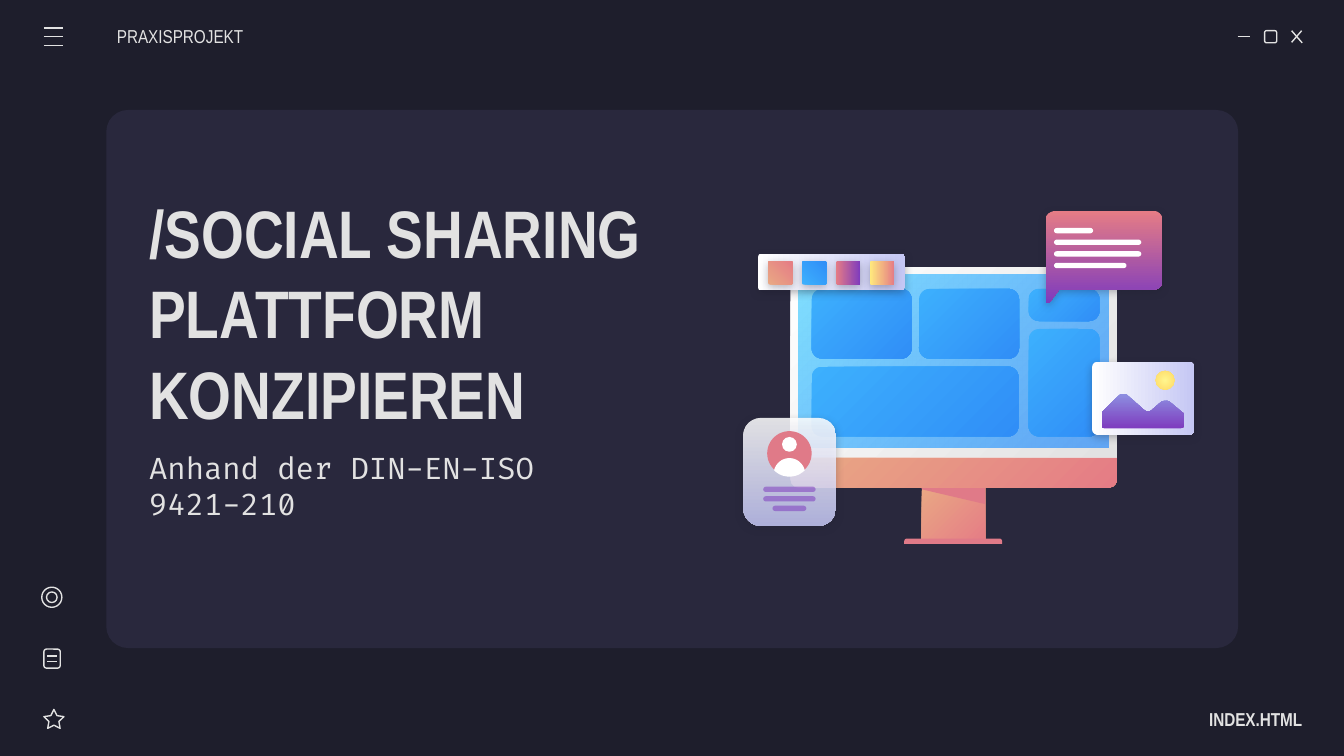
import lxml.etree
import pptx
import pptx.dml.color
import pptx.enum.shapes
import pptx.enum.text
import pptx.oxml.ns
import pptx.util

Cm, Pt = pptx.util.Cm, pptx.util.Pt
qn = pptx.oxml.ns.qn
Kind = pptx.enum.shapes.MSO_SHAPE
Align = pptx.enum.text.PP_ALIGN

# Colours; a gradient is (start, end, clockwise angle), angle None means radial
DARK, PANEL, LIGHT, WHITE = "1E1E2C", "29283D", "E2E2E2", "FFFFFF"
ROSE, VIOLET, CORAL, LAVENDER = "E07A88", "7E3BBE", "E57C85", "C5C7F4"
PEACH = ("E9A984", CORAL, 45)
BLUE = ("3DB0FD", "308EF7", 45)

# All positions below are in centimetres: left, top, width, height
TEXTS = [
    # words, place, size, font, bold, alignment, left inset, right inset
    ("/SOCIAL SHARING PLATTFORM KONZIPIEREN", (2.57, 3.66, 11.35, 4.47),
     36, "Arial Narrow", True, Align.LEFT, 0.25, 0.25),
    ("Anhand der DIN-EN-ISO 9421-210", (2.57, 8.59, 8.23, 1.17),
     16, "Fira Code", False, Align.LEFT, 0.25, 0.25),
    ("PRAXISPROJEKT", (2.21, 0.3, 2.97, 0.76),
     10, "Arial Narrow", False, Align.LEFT, 0, 0.25),
    ("INDEX.HTML", (21.64, 13.21, 2.97, 0.76),
     10, "Arial Narrow", True, Align.RIGHT, 0.25, 0),
]
ICON_SHAPES = [
    (Kind.ROUNDED_RECTANGLE, (23.9, 0.58, 0.23, 0.23)),
    (Kind.OVAL, (0.79, 11.1, 0.38, 0.38)),
    (Kind.OVAL, (0.88, 11.19, 0.2, 0.2)),
    (Kind.ROUNDED_RECTANGLE, (0.83, 12.27, 0.31, 0.36)),
    (Kind.STAR_5_POINT, (0.83, 13.41, 0.38, 0.36)),
]
ICON_LINES = [
    (23.39, 0.69, 23.62, 0.69),
    (24.41, 0.58, 24.61, 0.81), (24.6, 0.58, 24.41, 0.8),
    (0.89, 12.4, 1.07, 12.4), (0.89, 12.5, 1.07, 12.5),
] + [(0.83, y, 1.2, y) for y in (0.53, 0.69, 0.86)]
TILES = [
    (15.34, 5.46, 1.89, 1.32), (17.37, 5.46, 1.89, 1.32),
    (15.34, 6.93, 3.91, 1.32),
    (19.44, 5.46, 1.34, 0.61), (19.44, 6.22, 1.34, 2.03),
]
SWATCHES = [
    ("E9A984", CORAL, 315), ("3DB0FD", "308EF7", 315),
    (CORAL, VIOLET, 0), ("FFEA7D", CORAL, 0),
]
MESSAGE_WIDTHS = [0.74, 1.65, 1.65, 1.37]
PROFILE_WIDTHS = [0.99, 0.99, 0.64]

# Outlines: a pair is a corner, six numbers are a Bézier curve to the last pair
STAND_SHADE = [(17.42, 9.17), (17.42, 9.25), (18.62, 9.53), (18.62, 9.17)]
BUBBLE = [
    (19.94, 3.99), (19.84, 3.99, 19.76, 4.07, 19.76, 4.17), (19.76, 5.69),
    (19.76, 5.73, 19.82, 5.73, 19.84, 5.71), (20.02, 5.47), (21.82, 5.47),
    (21.9, 5.47, 21.97, 5.4, 21.97, 5.31), (21.97, 4.17),
    (21.97, 4.07, 21.9, 3.99, 21.82, 3.99),
]
SHOULDERS = [
    (14.92, 8.66), (14.78, 8.66, 14.66, 8.76, 14.63, 8.89),
    (14.71, 8.97, 14.81, 9.01, 14.92, 9.01),
    (15.03, 9.01, 15.13, 8.97, 15.21, 8.89),
    (15.18, 8.76, 15.06, 8.66, 14.92, 8.66),
]
MOUNTAINS = [
    (21.23, 7.44), (21.21, 7.44, 21.18, 7.44, 21.15, 7.47), (20.85, 7.77),
    (20.83, 7.79, 20.83, 7.8, 20.83, 7.82), (20.83, 8.03),
    (20.83, 8.08, 20.85, 8.1, 20.9, 8.1), (22.28, 8.1),
    (22.33, 8.1, 22.38, 8.08, 22.38, 8.03), (22.38, 7.85),
    (22.38, 7.82, 22.35, 7.8, 22.35, 7.8), (22.1, 7.59),
    (22.07, 7.57, 21.97, 7.57, 21.93, 7.61), (21.77, 7.75),
    (21.73, 7.79, 21.67, 7.79, 21.62, 7.75), (21.31, 7.47),
    (21.29, 7.45, 21.26, 7.44, 21.23, 7.44),
]

deck = pptx.Presentation()
deck.slide_width, deck.slide_height = Cm(25.4), Cm(14.29)
page = deck.slides.add_slide(deck.slide_layouts[6])


def colour(code):
    return pptx.dml.color.RGBColor.from_string(code)


def paint(shape, fill, opacity=(), shadow=False):
    if isinstance(fill, str):
        shape.fill.solid()
        shape.fill.fore_color.rgb = colour(fill)
    else:
        start, end, angle = fill
        shape.fill.gradient()
        shape.fill.gradient_angle = -(angle or 0) % 360
        for stop, code in zip(shape.fill.gradient_stops, (start, end)):
            stop.color.rgb = colour(code)
        if angle is None:
            linear = shape._element.spPr.find(".//" + qn("a:lin"))
            radial = lxml.etree.Element(qn("a:path"), path="circle")
            lxml.etree.SubElement(radial, qn("a:fillToRect"),
                                  l="50000", t="50000", r="50000", b="50000")
            linear.getparent().replace(linear, radial)
    for code, percent in zip(shape._element.spPr.iter(qn("a:srgbClr")), opacity):
        lxml.etree.SubElement(code, qn("a:alpha"), val=str(percent * 1000))
    shape.line.fill.background()
    shape.shadow.inherit = False
    if shadow:
        effects = shape._element.spPr.find(qn("a:effectLst"))
        outer = lxml.etree.SubElement(
            effects, qn("a:outerShdw"), blurRad=str(Pt(4.5)), dist=str(Pt(1.5)),
            dir="5400000", algn="bl", rotWithShape="0")
        tint = lxml.etree.SubElement(outer, qn("a:srgbClr"), val=DARK)
        lxml.etree.SubElement(tint, qn("a:alpha"), val="30000")


def add(kind, place, fill, radii=(), **style):
    shape = page.shapes.add_shape(kind, *map(Cm, place))
    for index, radius in enumerate(radii):
        shape.adjustments[index] = radius / min(place[2:])
    paint(shape, fill, **style)


def rounded(place, fill, radius, **style):
    add(Kind.ROUNDED_RECTANGLE, place, fill, (radius,), **style)


def outline(segments, fill, **style):
    points = [segments[0]]
    for segment in segments[1:]:
        if len(segment) == 2:
            points.append(segment)
            continue
        corners = [points[-1], segment[:2], segment[2:4], segment[4:]]
        for step in range(1, 9):
            t = step / 8
            weights = ((1 - t) ** 3, 3 * t * (1 - t) ** 2, 3 * t * t * (1 - t), t ** 3)
            points.append(tuple(sum(w * c[axis] for w, c in zip(weights, corners))
                                for axis in (0, 1)))
    builder = page.shapes.build_freeform(*map(Cm, points[0]))
    builder.add_line_segments([(Cm(x), Cm(y)) for x, y in points[1:]], close=True)
    paint(builder.convert_to_shape(), fill, **style)


def stroke(item):
    item.line.color.rgb = colour(LIGHT)
    item.line.width = Pt(0.75)


# Background and panel
page.background.fill.solid()
page.background.fill.fore_color.rgb = colour(DARK)
rounded((2.01, 2.08, 21.39, 10.17), PANEL, 0.41)

# Window and sidebar icons
for kind, place in ICON_SHAPES:
    icon = page.shapes.add_shape(kind, *map(Cm, place))
    icon.fill.background()
    icon.shadow.inherit = False
    stroke(icon)
    if kind == Kind.STAR_5_POINT:
        icon.adjustments[0] = 0.25
for ends in ICON_LINES:
    line = page.shapes.add_connector(
        pptx.enum.shapes.MSO_CONNECTOR.STRAIGHT, *map(Cm, ends))
    stroke(line)
    lxml.etree.SubElement(line._element.spPr, qn("a:effectLst"))

# Texts
for words, place, size, font, bold, align, left, right in TEXTS:
    box = page.shapes.add_textbox(*map(Cm, place))
    frame = box.text_frame
    frame.word_wrap = True
    frame.vertical_anchor = pptx.enum.text.MSO_ANCHOR.MIDDLE
    frame.margin_left, frame.margin_right = Cm(left), Cm(right)
    frame.margin_top = frame.margin_bottom = Cm(0.25)
    para = frame.paragraphs[0]
    para.alignment = align
    span = para.add_run()
    span.text = words
    span.font.size, span.font.name, span.font.bold = Pt(size), font, bold
    span.font.color.rgb = colour(LIGHT)

# Monitor
add(Kind.RECTANGLE, (17.42, 9.17, 1.2, 1.09), PEACH)
add(Kind.ROUND_2_SAME_RECTANGLE, (17.09, 10.18, 1.85, 0.1), ROSE, (0.05, 0))
outline(STAND_SHADE, ROSE)
add(Kind.ROUND_2_SAME_RECTANGLE, (14.94, 8.61, 6.17, 0.61), PEACH, (0, 0.16))
add(Kind.ROUND_2_SAME_RECTANGLE, (14.94, 5.05, 6.17, 3.59), (WHITE, LIGHT, 45), (0.16, 0))
add(Kind.RECTANGLE, (15.09, 5.2, 5.86, 3.26), ("80DFFF", "318FFA", 45), opacity=(100, 72))
for tile in TILES:
    rounded(tile, BLUE, 0.2)

# Speech bubble
outline(BUBBLE, (CORAL, VIOLET, 90), shadow=True)
for row, width in enumerate(MESSAGE_WIDTHS):
    rounded((19.92, 4.31 + 0.22 * row, width, 0.1), WHITE, 0.05)

# Profile card, centred on one axis
AXIS = 14.92
rounded((14.05, 7.9, 1.75, 2.04), (WHITE, LAVENDER, 90), 0.33, opacity=(86, 86), shadow=True)
for top, size, fill in [(8.15, 0.84, ROSE), (8.26, 0.28, WHITE)]:
    add(Kind.OVAL, (AXIS - size / 2, top, size, size), fill)
outline(SHOULDERS, WHITE)
for row, width in enumerate(PROFILE_WIDTHS):
    rounded((AXIS - width / 2, 9.2 + 0.18 * row, width, 0.1), VIOLET, 0.05, opacity=(54,))

# Image card
rounded((20.64, 6.84, 1.93, 1.38), (WHITE, LAVENDER, 0), 0.1, shadow=True)
outline(MOUNTAINS, ("8D90E1", VIOLET, 90))
add(Kind.OVAL, (21.84, 7.01, 0.36, 0.36), ("FFF68E", "FFD966", None))

# Colour palette
rounded((14.33, 4.8, 2.77, 0.69), (WHITE, LAVENDER, 0), 0.05, shadow=True)
for column, fill in enumerate(SWATCHES):
    rounded((14.52 + 0.64 * column, 4.94, 0.46, 0.44), fill, 0.03, shadow=True)

deck.save("out.pptx")
